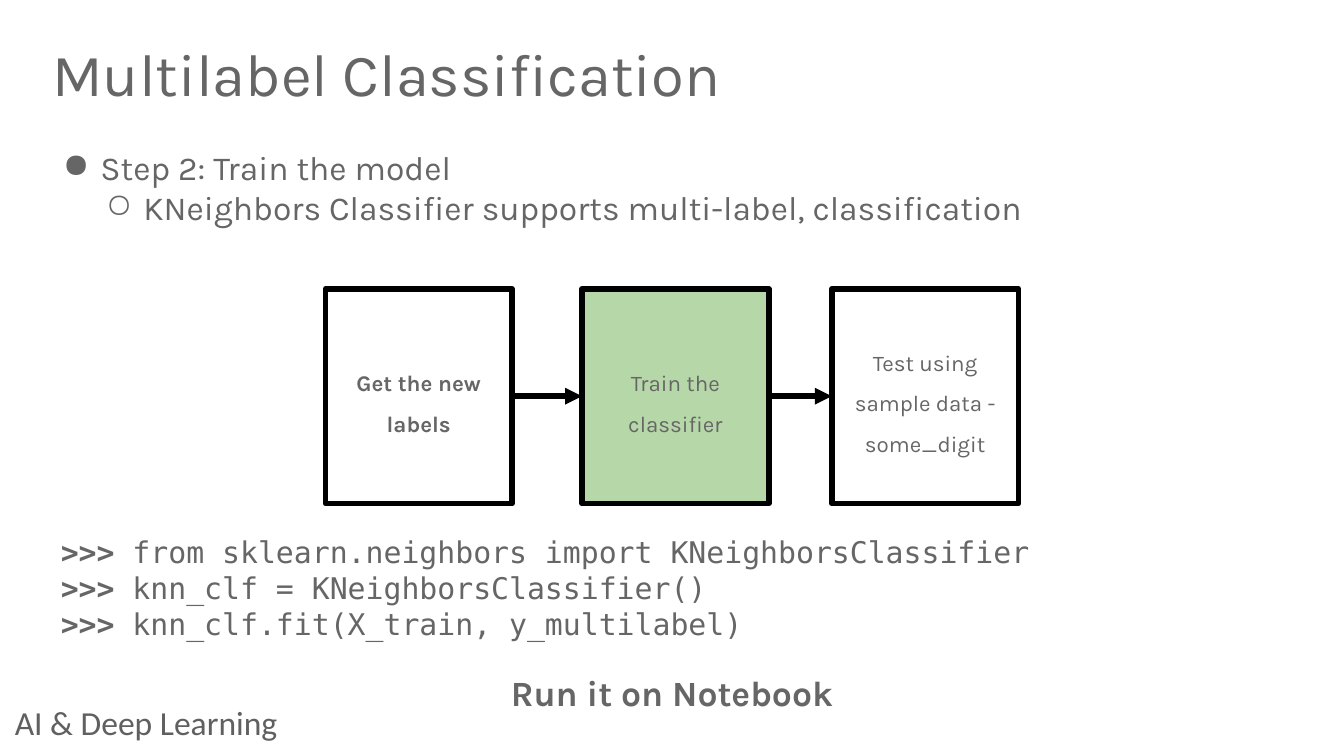
from lxml import etree
from pptx import Presentation
from pptx import util as u
from pptx.dml.color import RGBColor
from pptx.enum import shapes, text
from pptx.oxml.ns import qn

COLORS = {"text": "666666", "footer": "606060", "line": "000000",
          "plain": "FFFFFF", "active": "B6D7A8"}
LEFT, WIDTH = 0.99, 23.42
BOX_TOP, BOX_W, BOX_H = 5.46, 3.53, 4.06


def rgb(name):
    return RGBColor.from_string(COLORS[name])


def add_bullet(p, char, level):
    p.level = level
    pPr = p._p.get_or_add_pPr()
    pPr.set("marL", str(u.Cm(0.81 * (level + 1))))
    pPr.set("indent", str(u.Cm(-0.71)))
    color = etree.SubElement(pPr, qn("a:buClr"))
    etree.SubElement(color, qn("a:srgbClr"), val=COLORS["text"])
    etree.SubElement(pPr, qn("a:buChar"), char=char)


def write(tf, paragraphs, size=18, font="Karla", color="text", bold=False,
          align=text.PP_ALIGN.LEFT, spacing=None, inset=0.1, bullets=()):
    """Fill a frame; a paragraph is a string or a list of (string, bold) runs."""
    tf.word_wrap = True
    tf.auto_size = text.MSO_AUTO_SIZE.NONE
    tf.vertical_anchor = text.MSO_ANCHOR.MIDDLE
    tf.margin_left = tf.margin_right = u.Cm(inset)
    tf.margin_top = tf.margin_bottom = u.Cm(inset)
    for i, runs in enumerate(paragraphs):
        p = tf.paragraphs[0] if i == 0 else tf.add_paragraph()
        if bullets:
            add_bullet(p, bullets[i], i)
        p.alignment = align
        if spacing:
            p.line_spacing = spacing
        for content, is_bold in [(runs, bold)] if isinstance(runs, str) else runs:
            r = p.add_run()
            r.text = content
            r.font.size = u.Pt(size)
            r.font.name = font
            r.font.bold = is_bold
            r.font.color.rgb = rgb(color)


def add_text(s, box, paragraphs, **fmt):
    sp = s.shapes.add_textbox(*map(u.Cm, box))
    write(sp.text_frame, paragraphs, **fmt)


def add_title(s, content):
    sp = s.shapes.title
    sp.left, sp.top, sp.width, sp.height = map(u.Cm, (LEFT, 0.61, WIDTH, 1.7))
    write(sp.text_frame, [content], size=32, spacing=0.9, inset=0)


def add_step(s, left, label, fill=None, bold=False):
    sp = s.shapes.add_shape(shapes.MSO_SHAPE.RECTANGLE,
                            *map(u.Cm, (left, BOX_TOP, BOX_W, BOX_H)))
    sp.shadow.inherit = False
    if fill:
        sp.fill.solid()
        sp.fill.fore_color.rgb = rgb(fill)
    else:
        sp.fill.background()
    sp.line.color.rgb = rgb("line")
    sp.line.width = u.Pt(3)
    write(sp.text_frame, [label], size=12, bold=bold, spacing=1.5,
          align=text.PP_ALIGN.CENTER)
    return sp


def add_arrow(s, start, end):
    c = s.shapes.add_connector(shapes.MSO_CONNECTOR.STRAIGHT, 0, 0, 0, 0)
    c.begin_connect(start, 3)
    c.end_connect(end, 1)
    c.line.color.rgb = rgb("line")
    c.line.width = u.Pt(3)
    etree.SubElement(c.line._get_or_add_ln(), qn("a:tailEnd"), type="triangle")
    etree.SubElement(c._element.spPr, qn("a:effectLst"))


def main():
    prs = Presentation()
    prs.slide_width, prs.slide_height = u.Cm(25.4), u.Cm(14.29)
    s = prs.slides.add_slide(prs.slide_layouts[5])

    # Footer, title and bullets
    add_text(s, (0.18, 13.36, 7.24, 0.58), ["AI & Deep Learning"],
             font="Calibri", color="footer")
    add_title(s, "Multilabel Classification")
    add_text(s, (LEFT, 2.84, WIDTH, 1.4),
             ["Step 2: Train the model",
              "KNeighbors Classifier supports multi-label, classification"],
             bullets="●○")

    # Code and call to action
    code = ["from sklearn.neighbors import KNeighborsClassifier",
            "knn_clf = KNeighborsClassifier()",
            "knn_clf.fit(X_train, y_multilabel)"]
    add_text(s, (LEFT, 9.63, WIDTH, 2.95),
             [[(">>>", True), (" " + line, False)] for line in code],
             size=16, font="DejaVu Sans Mono", inset=0.16)
    add_text(s, (LEFT, 12.42, WIDTH, 0.94), ["Run it on Notebook"], size=19,
             bold=True, align=text.PP_ALIGN.CENTER, spacing=1.5, inset=0.16)

    # Process steps joined by arrows
    steps = [add_step(s, 6.15, "Get the new labels", "plain", bold=True),
             add_step(s, 11, "Train the classifier", "active"),
             add_step(s, 15.72, "Test using sample data - some_digit")]
    for start, end in zip(steps, steps[1:]):
        add_arrow(s, start, end)

    prs.save("out.pptx")


if __name__ == "__main__":
    main()
